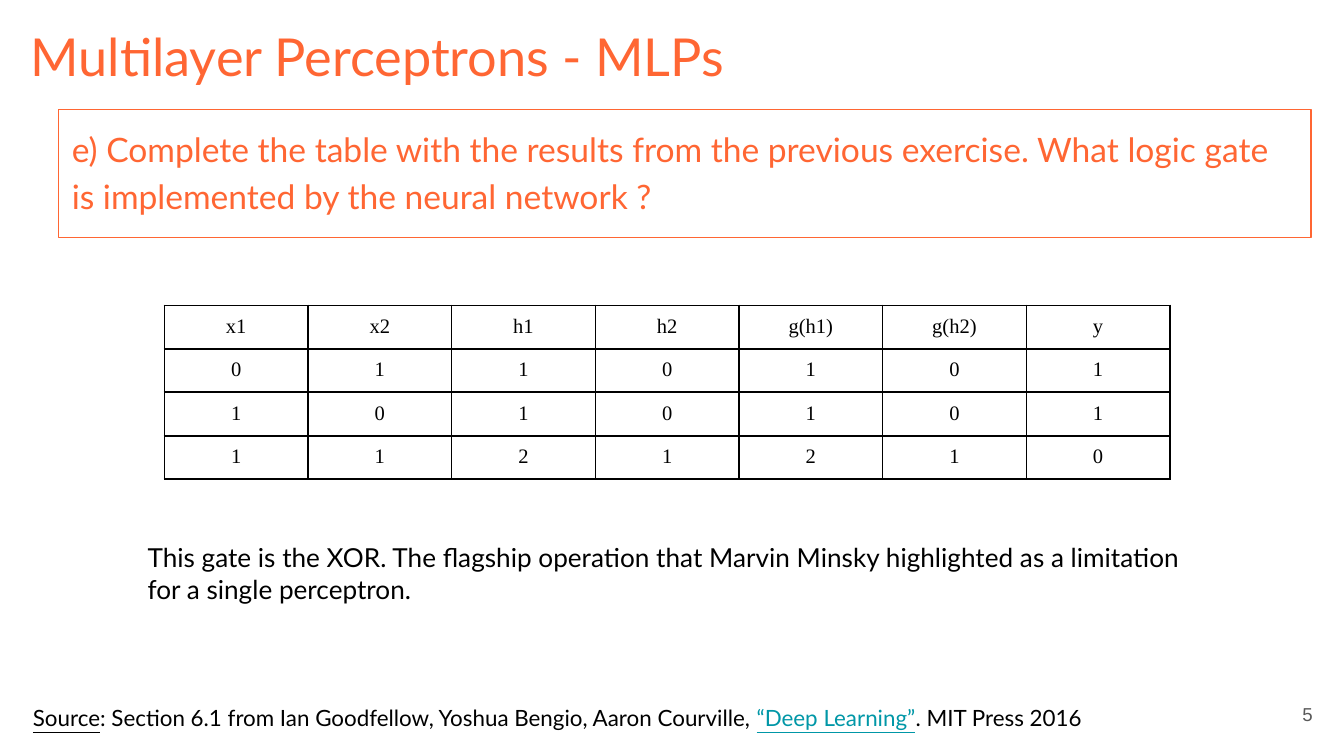
from lxml import etree
from pptx import Presentation
from pptx import util as u
from pptx.dml.color import RGBColor
from pptx.enum import shapes, text
from pptx.oxml import ns

WIDTH = u.Inches(10)
HEIGHT = WIDTH * 9 // 16
ORANGE = RGBColor(0xFF, 0x66, 0x33)
BLACK = RGBColor(0, 0, 0)
GREY = RGBColor(0x59, 0x59, 0x59)
TEAL = RGBColor(0x00, 0x97, 0xA7)

TRUTH_TABLE = [
    ("x1", "x2", "h1", "h2", "g(h1)", "g(h2)", "y"),
    (0, 1, 1, 0, 1, 0, 1),
    (1, 0, 1, 0, 1, 0, 1),
    (1, 1, 2, 1, 2, 1, 0),
]


def percent(left, top, width, height):
    return (int(WIDTH * left / 100), int(HEIGHT * top / 100),
            int(WIDTH * width / 100), int(HEIGHT * height / 100))


def write(frame, *runs, size, font="Lato", color=BLACK, inset=0.1,
          align=text.PP_ALIGN.LEFT, anchor=text.MSO_ANCHOR.TOP, spacing=None):
    frame.word_wrap = True
    frame.vertical_anchor = anchor
    frame.margin_left = frame.margin_right = u.Inches(inset)
    frame.margin_top = frame.margin_bottom = u.Inches(inset)
    paragraph = frame.paragraphs[0]
    paragraph.alignment = align
    paragraph.line_spacing = spacing
    for words, underlined, run_color in runs:
        run = paragraph.add_run()
        run.text = words
        run.font.name = font
        run.font.size = u.Pt(size)
        run.font.bold = False
        run.font.underline = underlined
        run.font.color.rgb = run_color or color


def plain(words):
    return words, False, None


def add_label(slide, area, *runs, **style):
    label = slide.shapes.add_textbox(*percent(*area))
    write(label.text_frame, *runs, **style)


def add_question(slide, area, words):
    question = slide.shapes.add_shape(shapes.MSO_SHAPE.RECTANGLE, *percent(*area))
    question.shadow.inherit = False
    question.fill.background()
    question.line.color.rgb = ORANGE
    question.line.width = u.Pt(0.75)
    write(question.text_frame, plain(words), size=18, color=ORANGE, spacing=1.15)


def outline(cell):
    properties = cell._tc.get_or_add_tcPr()
    for side in ("a:lnL", "a:lnR", "a:lnT", "a:lnB"):
        border = etree.SubElement(properties, ns.qn(side), w=str(u.Pt(1)))
        fill = etree.SubElement(border, ns.qn("a:solidFill"))
        etree.SubElement(fill, ns.qn("a:srgbClr"), val=str(BLACK))


def add_truth_table(slide, left, top, column, row):
    rows, columns = len(TRUTH_TABLE), len(TRUTH_TABLE[0])
    area = percent(left, top, column * columns, row * rows)
    grid = slide.shapes.add_table(rows, columns, *area).table
    grid.first_row = grid.horz_banding = False
    for r, values in enumerate(TRUTH_TABLE):
        for c, value in enumerate(values):
            cell = grid.cell(r, c)
            outline(cell)
            cell.fill.background()
            cell.margin_left = cell.margin_right = u.Inches(0.07)
            cell.margin_top = cell.margin_bottom = u.Inches(0.07)
            cell.vertical_anchor = text.MSO_ANCHOR.TOP
            write(cell.text_frame, plain(str(value)), size=11, inset=0.07,
                  font="Times New Roman", align=text.PP_ALIGN.CENTER)


def main():
    deck = Presentation()
    deck.slide_width, deck.slide_height = WIDTH, HEIGHT
    slide = deck.slides.add_slide(deck.slide_layouts[6])

    add_label(slide, (92.65, 90.67, 6, 7.64), plain("5"), size=10, font="Arial",
              color=GREY, align=text.PP_ALIGN.RIGHT, anchor=text.MSO_ANCHOR.MIDDLE)
    add_label(slide, (1.3, 1.42, 93.2, 11.2), plain("Multilayer Perceptrons - MLPs"),
              size=28, color=ORANGE)
    add_label(slide, (1.47, 91.38, 90, 7.11),
              ("Source", True, None),
              plain(": Section 6.1 from Ian Goodfellow, Yoshua Bengio, Aaron Courville, "),
              ("“Deep Learning”", True, TEAL),
              plain(". MIT Press 2016"), size=12)
    add_truth_table(slide, 12.23, 40.4, column=10.69, row=5.75)
    add_question(slide, (4.36, 14.5, 93.2, 16.89),
                 "e) Complete the table with the results from the previous exercise. "
                 "What logic gate is implemented by the neural network ?")
    add_label(slide, (10, 69.87, 80, 11.91),
              plain("This gate is the XOR. The flagship operation that Marvin Minsky "
                    "highlighted as a limitation for a single perceptron."), size=14)
    deck.save("out.pptx")


if __name__ == "__main__":
    main()
